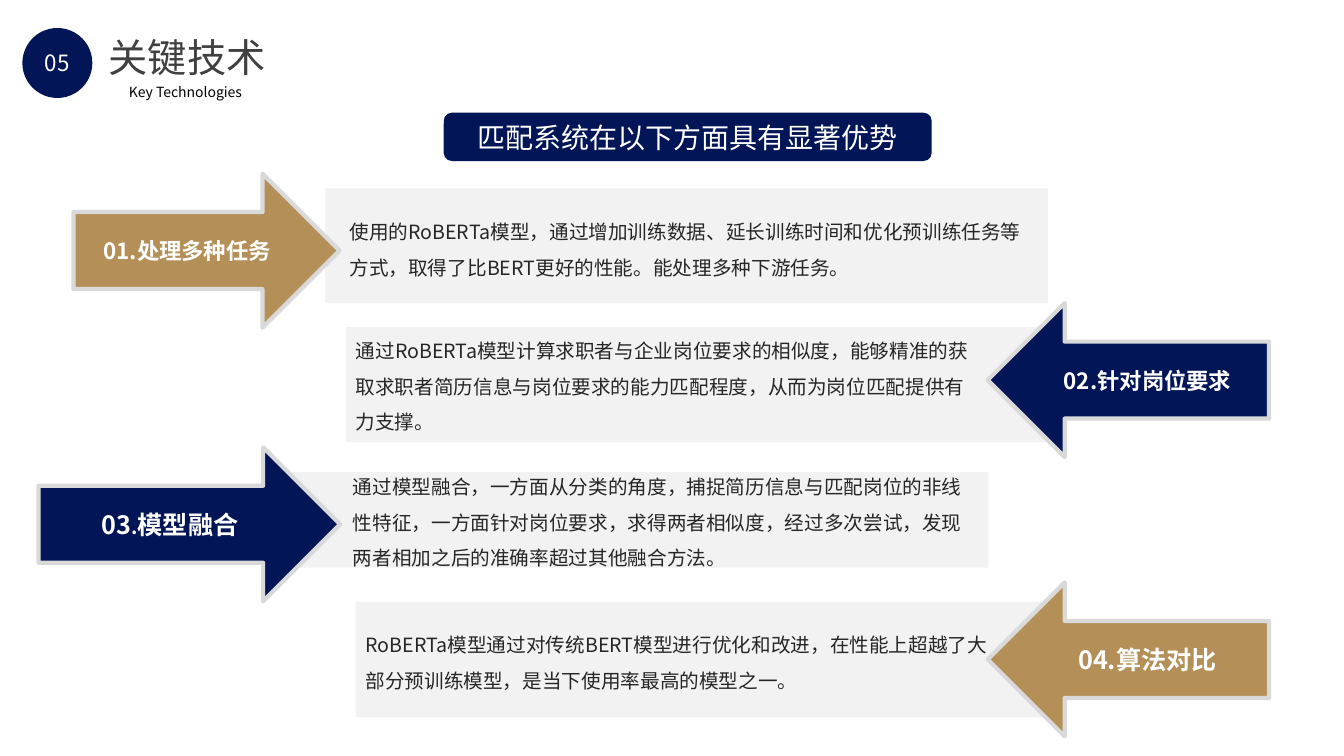
import pptx
import pptx.dml.color
import pptx.enum.shapes
import pptx.enum.text
import pptx.oxml
import pptx.oxml.ns
import pptx.util

Pt = pptx.util.Pt
SHAPES = pptx.enum.shapes.MSO_SHAPE
ALIGN = pptx.enum.text.PP_ALIGN
ANCHOR = pptx.enum.text.MSO_ANCHOR

FONT = "Noto Sans CJK SC"
NAVY, GOLD, WHITE = "011557", "B48F57", "FFFFFF"
PANEL_GRAY, EDGE_GRAY = "F2F2F2", "D9D9D9"
TITLE_GRAY, BODY_GRAY, BLACK = "404040", "262626", "000000"
ARROW_HEIGHT = 110


def color(hex_string):
    return pptx.dml.color.RGBColor.from_string(hex_string)


def format_run(run, size, hex_string, bold=False):
    run.font.name = FONT
    run.font.size = Pt(size)
    run.font.bold = bold
    run.font.color.rgb = color(hex_string)
    east_asian = pptx.oxml.parse_xml(
        f'<a:ea {pptx.oxml.ns.nsdecls("a")} typeface="{FONT}"/>')
    run.font._element.find(pptx.oxml.ns.qn("a:latin")).addnext(east_asian)


def write(shape, runs, hex_string, align=ALIGN.LEFT, anchor=ANCHOR.TOP,
          bold=False, spacing=1.0):
    """Fill a shape with one paragraph made of (text, size) runs."""
    frame = shape.text_frame
    frame.word_wrap = True
    frame.auto_size = pptx.enum.text.MSO_AUTO_SIZE.NONE
    frame.vertical_anchor = anchor
    para = frame.paragraphs[0]
    para.alignment = align
    para.line_spacing = spacing
    for text, size in runs:
        run = para.add_run()
        run.text = text
        format_run(run, size, hex_string, bold)


def add_filled(page, kind, box, fill, edge=None):
    shape = page.shapes.add_shape(kind, *map(Pt, box))
    shape.shadow.inherit = False
    shape.fill.solid()
    shape.fill.fore_color.rgb = color(fill)
    if edge:
        shape.line.color.rgb = color(edge)
        shape.line.width = Pt(3)
    else:
        shape.line.fill.background()
    return shape


def add_header(page, box, number, title_text, subtitle_text):
    left, top, width, height = box
    # Section number
    badge = add_filled(page, SHAPES.OVAL, (left, top, height, height), NAVY)
    write(badge, [(number, 16)], WHITE, ALIGN.CENTER, ANCHOR.MIDDLE)
    # Title and its translation
    title = page.shapes.title
    title.left, title.top = Pt(left + 54.5), Pt(top)
    title.width, title.height = Pt(width - 54.5), Pt(41)
    write(title, [(title_text, 28)], TITLE_GRAY)
    subtitle = page.shapes.add_textbox(
        Pt(left + 69), Pt(top + 36), Pt(width - 84), Pt(19.5))
    write(subtitle, [(subtitle_text, 10)], BLACK)


def add_banner(page, box, text):
    banner = add_filled(page, SHAPES.ROUNDED_RECTANGLE, box, NAVY)
    write(banner, [(text, 20)], WHITE, ALIGN.CENTER, ANCHOR.MIDDLE)


def add_advantage(page, box, arrow_kind, arrow_place, fill, label, text_place, text):
    """Gray panel with an arrow and a text, both offset from the panel corner."""
    left, top = box[:2]
    add_filled(page, SHAPES.RECTANGLE, box, PANEL_GRAY)
    # Labelled arrow
    shift, drop, width = arrow_place
    arrow = add_filled(page, arrow_kind,
                       (left + shift, top + drop, width, ARROW_HEIGHT), fill, EDGE_GRAY)
    write(arrow, label, WHITE, ALIGN.CENTER, ANCHOR.MIDDLE, bold=True)
    # Description
    shift, drop, width, height = text_place
    description = page.shapes.add_textbox(
        Pt(left + shift), Pt(top + drop), Pt(width), Pt(height))
    write(description, [(text, 14)], BODY_GRAY, spacing=1.5)


# Panel box, arrow (kind, offset and width), fill, label runs, text place, text
ADVANTAGES = [
    ((232.5, 134.5, 516, 82), SHAPES.RIGHT_ARROW, (-180, -10.5, 190), GOLD,
     [("01.处理多种任务", 16)], (10, 11, 506, 58.5),
     "使用的RoBERTa模型，通过增加训练数据、延长训练时间和优化预训练任务等方式，"
     "取得了比BERT更好的性能。能处理多种下游任务。"),
    ((247, 233.5, 513.5, 82.5), SHAPES.LEFT_ARROW, (458.5, -17, 201), NAVY,
     [("02.针对岗位要求", 16)], (0, -3, 458.5, 83.5),
     "通过RoBERTa模型计算求职者与企业岗位要求的相似度，能够精准的获取求职者简历信息"
     "与岗位要求的能力匹配程度，从而为岗位匹配提供有力支撑。"),
    ((187, 337, 519, 68.5), SHAPES.RIGHT_ARROW, (-159.5, -17.5, 215.5), NAVY,
     [("03", 18), (".", 14), ("模型融合", 18)], (58, -9.5, 458.5, 83.5),
     "通过模型融合，一方面从分类的角度，捕捉简历信息与匹配岗位的非线性特征，"
     "一方面针对岗位要求，求得两者相似度，经过多次尝试，"
     "发现两者相加之后的准确率超过其他融合方法。"),
    ((254, 430, 506, 82.5), SHAPES.LEFT_ARROW, (451.5, -14, 201), GOLD,
     [("04.算法对比", 18)], (0, 10.5, 458.5, 58.5),
     "RoBERTa模型通过对传统BERT模型进行优化和改进，在性能上超越了"
     "大部分预训练模型，是当下使用率最高的模型之一。"),
]


def main():
    deck = pptx.Presentation()
    deck.slide_width, deck.slide_height = Pt(960), Pt(540)
    page = deck.slides.add_slide(deck.slide_layouts.get_by_name("Title Only"))
    add_header(page, (16, 20, 231.5, 50), "05", "关键技术", "Key Technologies")
    add_banner(page, (317, 80.5, 348.5, 34.5), "匹配系统在以下方面具有显著优势")
    for advantage in ADVANTAGES:
        add_advantage(page, *advantage)
    deck.save("out.pptx")


if __name__ == "__main__":
    main()
